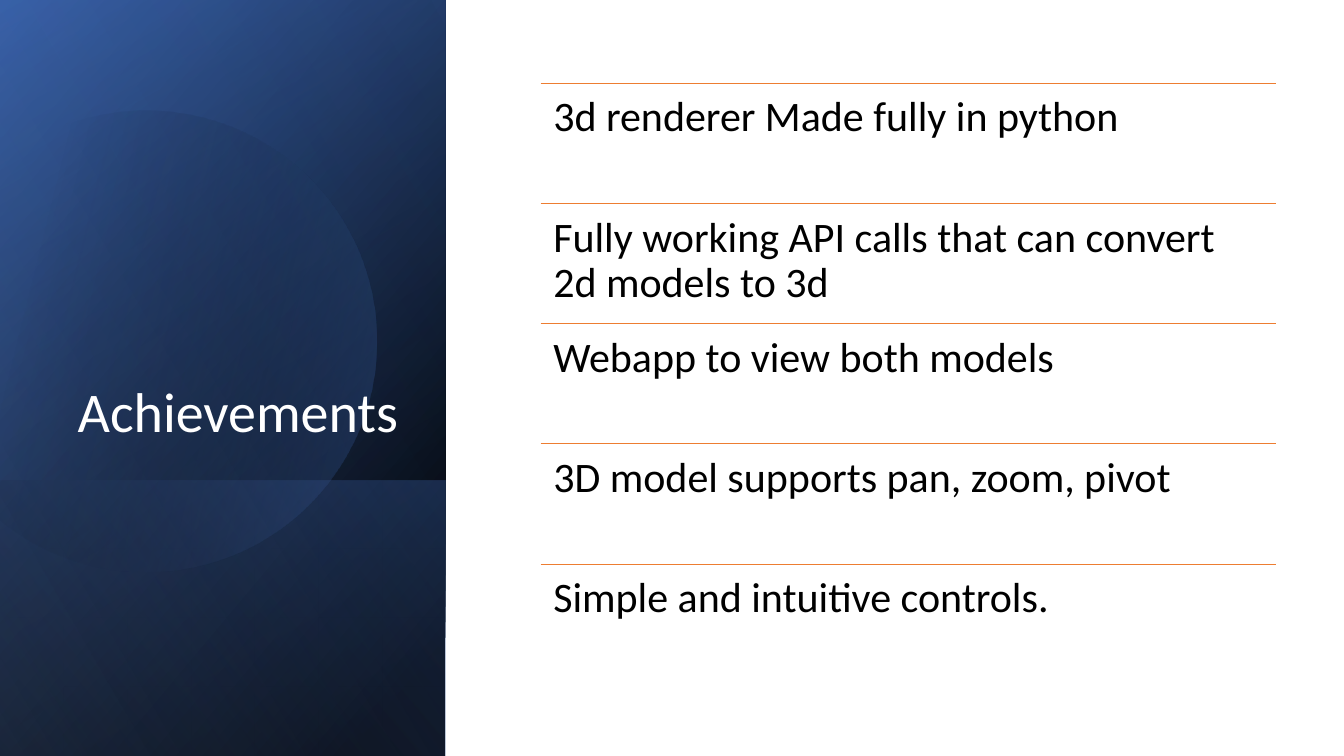
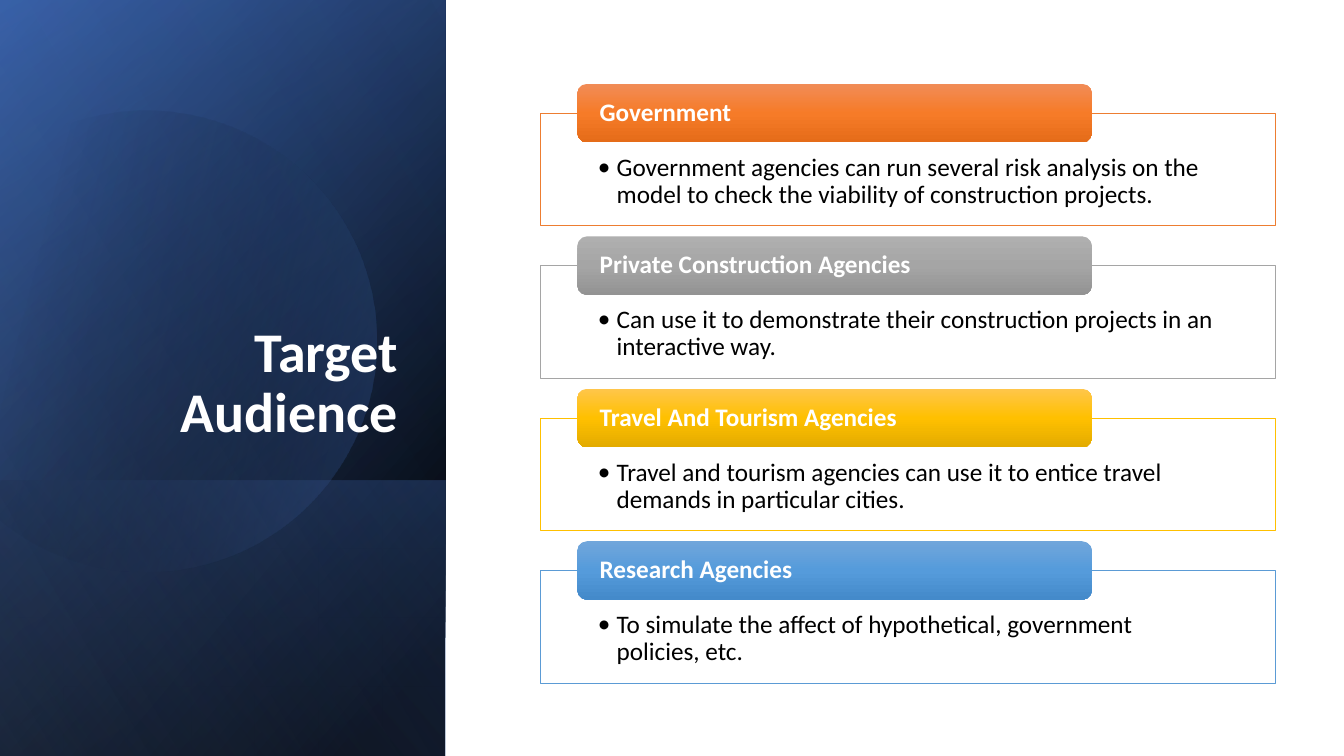
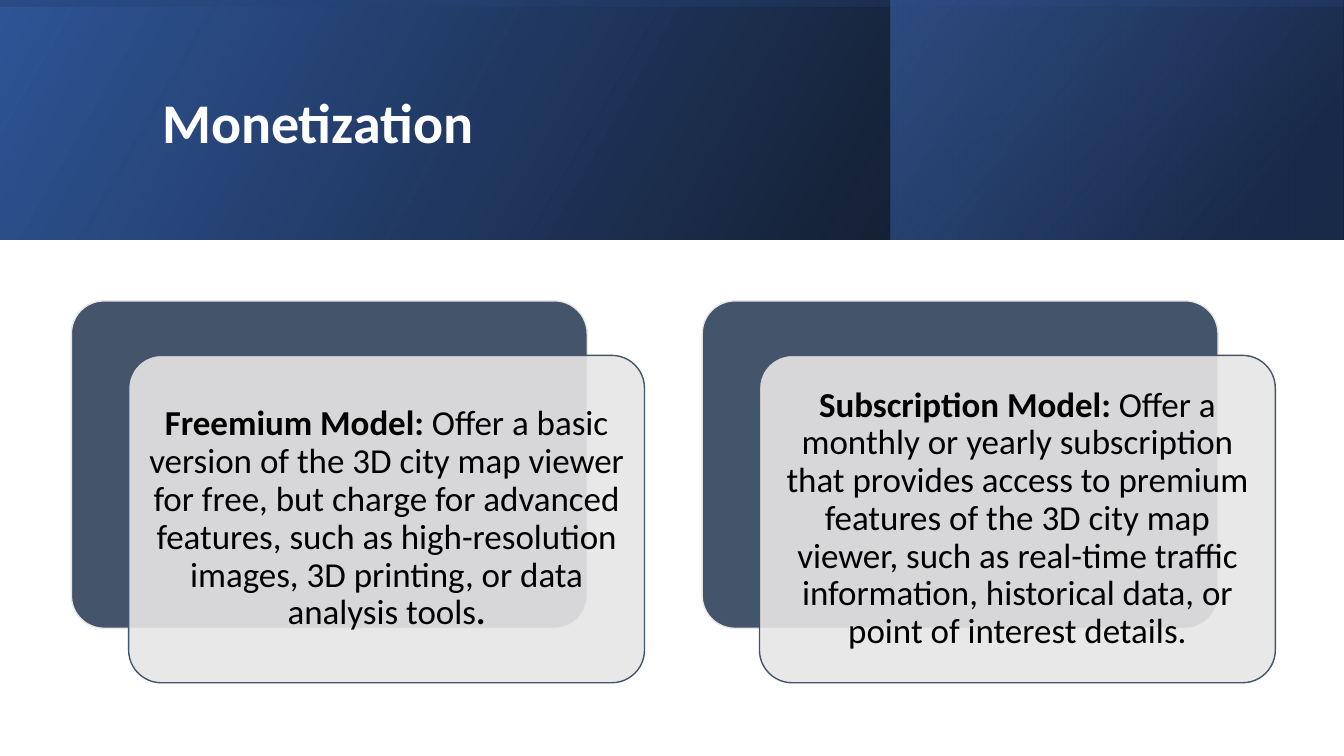
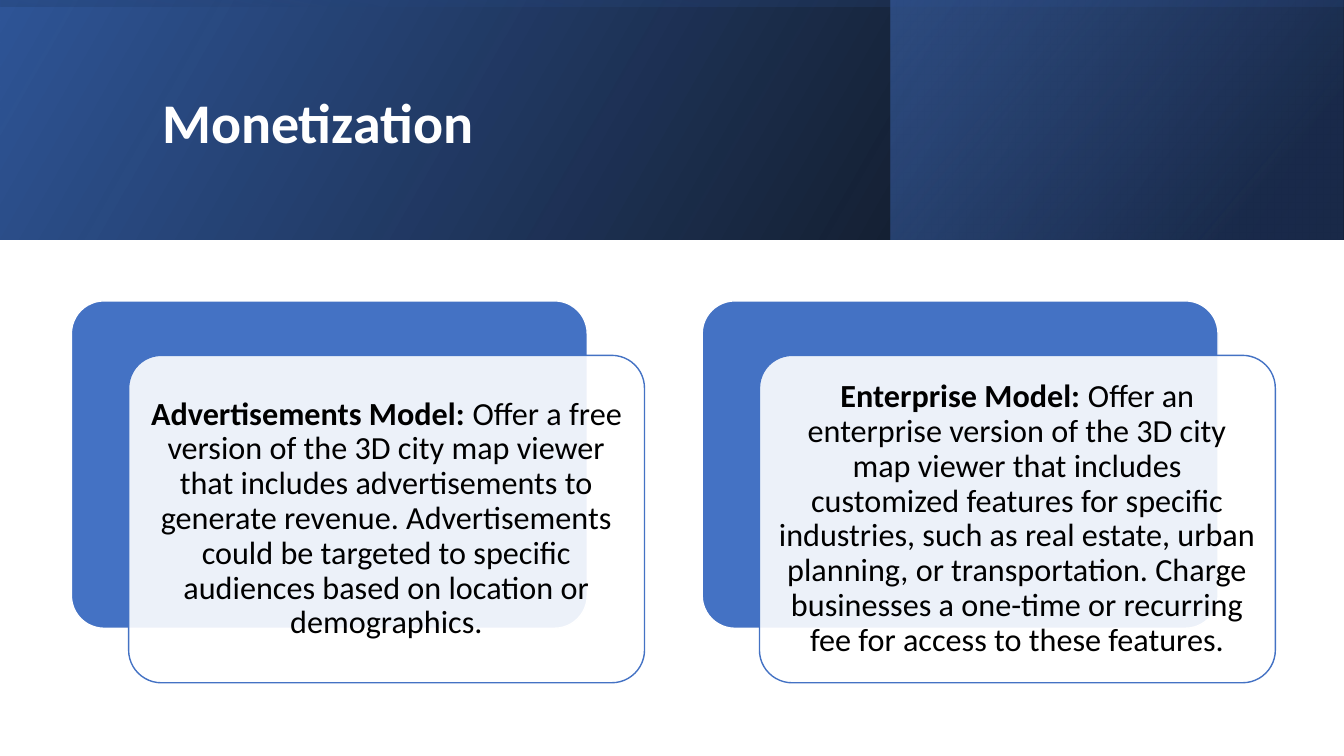
import math
from dataclasses import dataclass

import pptx
import pptx.dml.color
import pptx.enum.shapes
import pptx.enum.text
import pptx.oxml
import pptx.oxml.ns
import pptx.shapes.autoshape
import pptx.shapes.base
import pptx.slide
import pptx.text.text
import pptx.util

Pt = pptx.util.Pt
KIND = pptx.enum.shapes.MSO_SHAPE
ALIGN = pptx.enum.text.PP_ALIGN
ANCHOR = pptx.enum.text.MSO_ANCHOR
Slide = pptx.slide.Slide
Shape = pptx.shapes.autoshape.Shape

FONT = "Calibri"
WIDE, HIGH = 960, 540
SIDE = 318.2   # width of the left panel
HEAD = 170.8   # height of the top band
LEFT, SPAN = 386.2, 525  # text column beside the panel

HUES = {
    "black": "000000", "white": "FFFFFF", "navy": "203864", "deep": "2F5597",
    "blue": "4472C4", "pale": "8FAADC", "slate": "44546A", "mist": "E7E6E6",
    "orange": "ED7D31", "orange1": "F18C57", "orange2": "F67B28", "orange3": "E56C19",
    "gray": "A5A5A5", "gray1": "AFAFAF", "gray2": "A5A5A5", "gray3": "939393",
    "gold": "FFC000", "gold1": "FFC64B", "gold2": "FFC000", "gold3": "E3AB00",
    "sky": "5B9BD5", "sky1": "71A6DB", "sky2": "559BDB", "sky3": "448ACA",
}


@dataclass(frozen=True)
class Stop:
    place: int
    hue: str
    alpha: int = 100


@dataclass(frozen=True)
class Band:
    """A mirrored gradient block; the box is the one seen after turning."""
    left: float
    top: float
    width: float
    height: float
    turn: int
    angle: int
    stops: tuple[Stop, ...]


@dataclass(frozen=True)
class Run:
    text: str
    bold: bool = False


@dataclass(frozen=True)
class Group:
    hue: str
    name: str
    note: str


@dataclass(frozen=True)
class Plan:
    name: str
    note: str
    end: str = ""


@dataclass(frozen=True)
class Look:
    back: str
    front: str
    size: int


PANEL = (
    Band(0, 0, SIDE, HIGH, 90, 50, (Stop(8, "black"), Stop(100, "deep"))),
    Band(0, 0, SIDE, HIGH, 90, 30, (Stop(0, "black", 0), Stop(99, "blue", 46))),
    Band(0, 343.1, SIDE, 196.9, 90, 130, (Stop(2, "blue", 29), Stop(100, "black", 30))),
)
SHEEN = Band(0, 0, SIDE, HIGH, 90, 120, (Stop(0, "black", 0), Stop(99, "pale", 11)))
TOP = (
    Band(0, 0, WIDE, HEAD, 0, 330, (Stop(0, "black", 96), Stop(100, "deep"))),
    Band(636.5, 0, 323, HEAD, 0, 320, (Stop(19, "navy", 68), Stop(100, "blue", 48))),
    Band(0, 0, WIDE, HEAD, 270, 350, (Stop(23, "deep", 16), Stop(99, "black", 45))),
)

GOALS = (
    "3d renderer Made fully in python",
    "Fully working API calls that can convert 2d models to 3d",
    "Webapp to view both models",
    "3D model supports pan, zoom, pivot",
    "Simple and intuitive controls.",
)
GROUPS = (
    Group("orange", "Government",
          "Government agencies can run several risk analysis on the model to check "
          "the viability of construction projects."),
    Group("gray", "Private Construction Agencies",
          "Can use it to demonstrate their construction projects in an interactive way."),
    Group("gold", "Travel And Tourism Agencies",
          "Travel and tourism agencies can use it to entice travel demands in "
          "particular cities."),
    Group("sky", "Research Agencies",
          "To simulate the affect of hypothetical, government policies, etc."),
)
OFFERS = (
    (Look("slate", "mist", 25), (
        Plan("Freemium Model: ",
             "Offer a basic version of the 3D city map viewer for free, but charge for "
             "advanced features, such as high-resolution images, 3D printing, or data "
             "analysis tools", "."),
        Plan("Subscription Model: ",
             "Offer a monthly or yearly subscription that provides access to premium "
             "features of the 3D city map viewer, such as real-time traffic information, "
             "historical data, or point of interest details."),
    )),
    (Look("blue", "white", 23), (
        Plan("Advertisements Model: ",
             "Offer a free version of the 3D city map viewer that includes advertisements "
             "to generate revenue. Advertisements could be targeted to specific audiences "
             "based on location or demographics."),
        Plan("Enterprise Model: ",
             "Offer an enterprise version of the 3D city map viewer that includes "
             "customized features for specific industries, such as real estate, urban "
             "planning, or transportation. Charge businesses a one-time or recurring fee "
             "for access to these features."),
    )),
)


# Fills and lines
def tint(hue: str) -> pptx.dml.color.RGBColor:
    return pptx.dml.color.RGBColor.from_string(HUES[hue])


def blend(shape: Shape, stops: tuple[Stop, ...], angle: int) -> None:
    shape.fill.background()
    marks = "".join(
        f'<a:gs pos="{stop.place * 1000}"><a:srgbClr val="{HUES[stop.hue]}">'
        f'<a:alpha val="{stop.alpha * 1000}"/></a:srgbClr></a:gs>'
        for stop in stops)
    grad = pptx.oxml.parse_xml(
        f'<a:gradFill {pptx.oxml.ns.nsdecls("a")} rotWithShape="1">'
        f'<a:gsLst>{marks}</a:gsLst><a:lin ang="{angle * 60000}" scaled="0"/></a:gradFill>')
    props = shape.element.spPr
    props.replace(props.find(pptx.oxml.ns.qn("a:noFill")), grad)


def paint(shape: Shape, hue: str, alpha: int = 100) -> None:
    shape.fill.solid()
    shape.fill.fore_color.rgb = tint(hue)
    if alpha < 100:
        color = shape.element.spPr.find(".//" + pptx.oxml.ns.qn("a:srgbClr"))
        color.append(pptx.oxml.parse_xml(
            f'<a:alpha {pptx.oxml.ns.nsdecls("a")} val="{alpha * 1000}"/>'))


def edge(shape: Shape, hue: str, width: float) -> None:
    shape.line.color.rgb = tint(hue)
    shape.line.width = Pt(width)


# Shapes and text
def block(slide: Slide, kind: KIND, left: float, top: float,
          width: float, height: float) -> Shape:
    shape = slide.shapes.add_shape(kind, Pt(left), Pt(top), Pt(width), Pt(height))
    shape.shadow.inherit = False
    shape.line.fill.background()
    return shape


def write(shape: pptx.shapes.base.BaseShape, runs: tuple[Run, ...], size: float,
          hue: str = "black", align: ALIGN = ALIGN.LEFT, anchor: ANCHOR = ANCHOR.TOP,
          pads: tuple[float, float, float, float] = (7.2, 3.6, 7.2, 3.6),
          ) -> pptx.text.text._Paragraph:
    frame = shape.text_frame
    frame.word_wrap = True
    frame.auto_size = pptx.enum.text.MSO_AUTO_SIZE.NONE
    frame.vertical_anchor = anchor
    (frame.margin_left, frame.margin_top,
     frame.margin_right, frame.margin_bottom) = (Pt(pad) for pad in pads)
    para = frame.paragraphs[0]
    para.alignment = align
    para.line_spacing = 0.9
    for part in runs:
        run = para.add_run()
        run.text = part.text
        run.font.name = FONT
        run.font.size = Pt(size)
        run.font.bold = part.bold
        run.font.color.rgb = tint(hue)
    return para


def dot(para: pptx.text.text._Paragraph, indent: float) -> None:
    props = para._p.get_or_add_pPr()
    props.set("marL", str(Pt(indent)))
    props.set("indent", str(-Pt(indent)))
    for mark in (f'buFont {pptx.oxml.ns.nsdecls("a")} typeface="{FONT}"',
                 f'buChar {pptx.oxml.ns.nsdecls("a")} char="•"'):
        props.append(pptx.oxml.parse_xml(f"<a:{mark}/>"))


# Parts the slides share
def lay(slide: Slide, band: Band) -> None:
    wide, high = band.width, band.height
    if band.turn:
        wide, high = high, wide
    shape = block(slide, KIND.RECTANGLE, band.left + (band.width - wide) / 2,
                  band.top + (band.height - high) / 2, wide, high)
    shape.rotation = band.turn
    shape.element.spPr.xfrm.set("flipH", "1")
    blend(shape, band.stops, band.angle)


def bend(shape: Shape) -> None:
    """Turn each three line segments of an outline into one curve."""
    lines = list(shape.element.iter(pptx.oxml.ns.qn("a:lnTo")))
    for first in range(0, len(lines), 3):
        curve = pptx.oxml.parse_xml(f'<a:cubicBezTo {pptx.oxml.ns.nsdecls("a")}/>')
        lines[first].addprevious(curve)
        for line in lines[first:first + 3]:
            curve.append(line[0])
            line.getparent().remove(line)


def disc(slide: Slide) -> None:
    """A tilted circle with its left side cut straight."""
    mid, level, reach, tilt = 104.2, 243.7, 164.5, 16.1
    turns = [math.radians(turn) for turn in (225 + tilt, 270, 360, 450, 495 + tilt)]

    def spot(turn: float, slope: float = 0) -> tuple[int, int]:
        return (Pt(mid + reach * (math.cos(turn) - slope * math.sin(turn))),
                Pt(level + reach * (math.sin(turn) + slope * math.cos(turn))))

    spots = []
    for start, stop in zip(turns, turns[1:]):
        slope = 4 / 3 * math.tan((stop - start) / 4)
        spots += [spot(start, slope), spot(stop, -slope), spot(stop)]
    pen = slide.shapes.build_freeform(*spot(turns[0]))
    pen.add_line_segments(spots, close=True)
    shape = pen.convert_to_shape()
    bend(shape)
    # Tilt about the centre of the circle
    right = shape.left + shape.width / 2 - Pt(mid)
    down = shape.top + shape.height / 2 - Pt(level)
    cos, sin = math.cos(math.radians(-tilt)), math.sin(math.radians(-tilt))
    shape.left = round(Pt(mid) + right * cos - down * sin - shape.width / 2)
    shape.top = round(Pt(level) + right * sin + down * cos - shape.height / 2)
    shape.rotation = 360 - tilt
    shape.shadow.inherit = False
    shape.line.fill.background()
    blend(shape, (Stop(29, "black", 0), Stop(100, "blue", 43)), 30)


def head(slide: Slide, text: str, box: tuple[float, float, float, float],
         align: ALIGN, anchor: ANCHOR, bold: bool = True) -> None:
    title = slide.shapes.title
    title.left, title.top, title.width, title.height = (Pt(size) for size in box)
    write(title, (Run(text, bold),), 40, "white", align, anchor)
    title.element.getparent().append(title.element)  # in front of the bands


def start(deck: pptx.presentation.Presentation) -> Slide:
    return deck.slides.add_slide(deck.slide_layouts.get_by_name("Title Only"))


def aside(deck: pptx.presentation.Presentation, text: str, bold: bool) -> Slide:
    slide = start(deck)
    for band in PANEL:
        lay(slide, band)
    disc(slide)
    lay(slide, SHEEN)
    head(slide, text, (46, 132.7, 245.5, 188.6), ALIGN.RIGHT, ANCHOR.BOTTOM, bold)
    return slide


def banner(deck: pptx.presentation.Presentation, text: str) -> Slide:
    slide = start(deck)
    for band in TOP:
        lay(slide, band)
    head(slide, text, (108.7, 27.4, 765.4, 123.8), ALIGN.LEFT, ANCHOR.MIDDLE)
    return slide


# Repeated items
def goal(slide: Slide, text: str, top: float, height: float) -> None:
    rule = slide.shapes.add_connector(
        pptx.enum.shapes.MSO_CONNECTOR.STRAIGHT,
        Pt(LEFT), Pt(top), Pt(LEFT + SPAN), Pt(top))
    edge(rule, "orange", 0.5)
    rule.element.spPr.append(pptx.oxml.parse_xml(
        f'<a:effectLst {pptx.oxml.ns.nsdecls("a")}/>'))
    box = slide.shapes.add_textbox(Pt(LEFT), Pt(top), Pt(SPAN), Pt(height))
    write(box, (Run(text),), 30, pads=(9, 9, 9, 9))


def crowd(slide: Slide, group: Group, top: float) -> None:
    frame = block(slide, KIND.RECTANGLE, LEFT, top + 20.9, SPAN, 80.3)
    paint(frame, "white", 90)
    edge(frame, group.hue, 0.5)
    dot(write(frame, (Run(group.note),), 18, pads=(40.8, 29.5, 40.8, 10)), 13.5)
    label = block(slide, KIND.ROUNDED_RECTANGLE, LEFT + 26.2, top, 367.5, 41.8)
    blend(label, tuple(Stop(50 * step, f"{group.hue}{step + 1}") for step in range(3)), 90)
    write(label, (Run(group.name, True),), 18, "white", anchor=ANCHOR.MIDDLE,
          pads=(13.9, 0, 13.9, 0))


def offer(slide: Slide, plan: Plan, look: Look, left: float) -> None:
    layers = ((0, 0, look.back, look.front, 100),
              (40.9, 38.9, look.front, look.back, 90))
    for right, down, fill, line, alpha in layers:
        card = block(slide, KIND.ROUNDED_RECTANGLE, left + right, 214.9 + down, 368.5, 233.9)
        card.adjustments[0] = 0.1
        paint(card, fill, alpha)
        edge(card, line, 1)
    runs = [Run(plan.name, True), Run(plan.note)]
    if plan.end:
        runs.append(Run(plan.end, True))
    write(card, tuple(runs), look.size, align=ALIGN.CENTER, anchor=ANCHOR.MIDDLE,
          pads=(6.4, 7.2, 6.4, 7.2))


def main() -> None:
    deck = pptx.Presentation()
    deck.slide_width, deck.slide_height = Pt(WIDE), Pt(HIGH)

    # Achievements
    slide = aside(deck, "Achievements", False)
    step = 85.9
    for row, text in enumerate(GOALS):
        goal(slide, text, 59.2 + row * step, step)

    # Target audience
    slide = aside(deck, "Target Audience", True)
    for row, group in enumerate(GROUPS):
        crowd(slide, group, 59.9 + row * 108.9)

    # Monetization, two plans a slide
    for look, plans in OFFERS:
        slide = banner(deck, "Monetization")
        for col, plan in enumerate(plans):
            offer(slide, plan, look, 51 + col * 450.6)

    deck.save("out.pptx")


if __name__ == "__main__":
    main()
